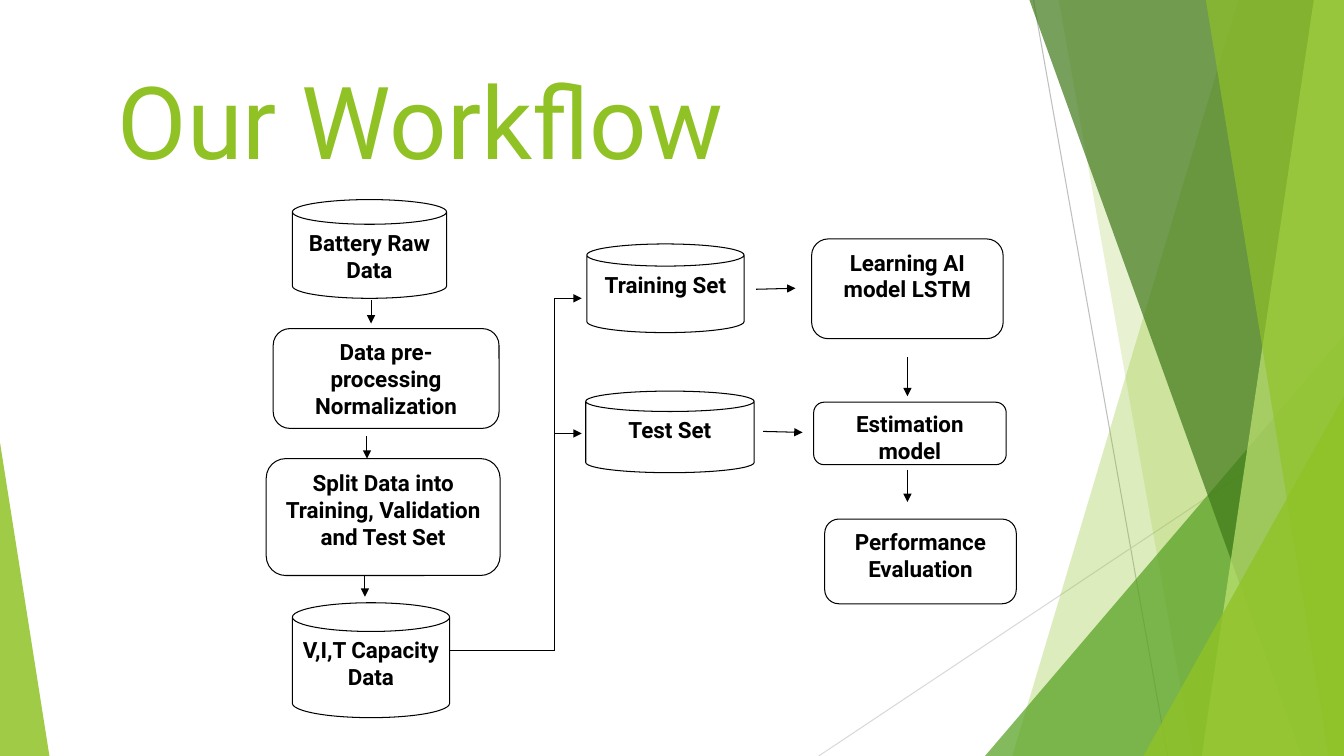
from lxml import etree
from pptx import Presentation
from pptx.dml.color import RGBColor
from pptx.enum.shapes import MSO_CONNECTOR, MSO_SHAPE
from pptx.enum.text import MSO_ANCHOR, PP_ALIGN
from pptx.oxml.ns import qn
from pptx.util import Pt

PX = 9144  # EMU per px, 100 px to the inch
W, H = 1333, 750
FONT = "Roboto"
GREEN, BLACK, WHITE = "90C226", "000000", "FFFFFF"
CAN, BOX = MSO_SHAPE.CAN, MSO_SHAPE.ROUNDED_RECTANGLE
STRAIGHT = MSO_CONNECTOR.STRAIGHT
CENTER, LEFT = PP_ALIGN.CENTER, PP_ALIGN.LEFT
TOP, MIDDLE = MSO_ANCHOR.TOP, MSO_ANCHOR.MIDDLE

TITLE = "Our Workflow"
TITLE_BOX = (107, 46, 1085, 145)

# Backdrop: thin lines (start, end, colour), facets (points, colour, opacity %)
BACK_LINES = [
    ((1025, 0), (1158, H), "BFBFBF"),
    ((W, 403), (812, H), "D9D9D9"),
]
FACETS = [
    ([(1228, 0), (W, 0), (W, H), (1004, H)], GREEN, 30),
    ([(1050, 0), (W, 0), (W, H), (1183, H)], GREEN, 20),
    ([(W, 333), (W, H), (977, H)], "54A021", 72),
    ([(1021, 0), (W, 0), (W, H), (1291, H)], "3F7819", 70),
    ([(1303, 0), (W, 0), (W, H), (1192, H)], "C0E474", 70),
    ([(1196, 0), (W, 0), (W, H), (1318, H)], GREEN, 65),
    ([(W, 393), (W, H), (1134, H)], GREEN, 80),
    ([(0, 439), (49, H), (0, H)], GREEN, 85),
]

# Workflow steps: shape, (left, top, width, height), text
STEPS = [
    (CAN, (290, 198, 153, 98), "Battery Raw Data"),
    (BOX, (271, 326, 224, 99), "Data pre-processing Normalization"),
    (BOX, (264, 455, 232, 116), "Split Data into Training, Validation and Test Set"),
    (CAN, (290, 598, 156, 114), "V,I,T Capacity Data"),
    (CAN, (582, 242, 156, 88), "Training Set"),
    (CAN, (581, 388, 167, 81), "Test Set"),
    (BOX, (805, 237, 190, 99), "Learning AI model LSTM"),
    (BOX, (807, 399, 191, 62), "Estimation model"),
    (BOX, (818, 515, 190, 84), "Performance Evaluation"),
]
ARROWS = [
    ((368, 298), (368, 321)),
    ((364, 433), (364, 455)),
    ((362, 570), (362, 592)),
    ((550, 296), (577, 296)),
    ((550, 430), (577, 430)),
    ((750, 287), (789, 286)),
    ((757, 428), (796, 429)),
    ((900, 354), (900, 393)),
    ((900, 466), (900, 498)),
]
BRANCH_LINES = [((446, 645), (550, 645)), ((550, 645), (550, 296))]


def rgb(value):
    return RGBColor.from_string(value)


def emu(lengths):
    return [n * PX for n in lengths]


def write(shape, text, size, color, bold, align, anchor, inset):
    tf = shape.text_frame
    tf.word_wrap = True
    tf.vertical_anchor = anchor
    tf.margin_left = tf.margin_right = inset * PX
    tf.margin_top = tf.margin_bottom = 5 * PX
    p = tf.paragraphs[0]
    p.alignment = align
    r = p.add_run()
    r.text = text
    r.font.name, r.font.size, r.font.bold = FONT, Pt(size), bold
    r.font.color.rgb = rgb(color)
    return p


def add_line(s, start, end, color=BLACK, arrow=False):
    line = s.shapes.add_connector(STRAIGHT, *emu(start + end))
    line.line.color.rgb = rgb(color)
    line.line.width = Pt(0.75)
    if arrow:
        etree.SubElement(line.line._get_or_add_ln(), qn("a:tailEnd"), type="triangle")
    etree.SubElement(line._element.spPr, qn("a:effectLst"))


def add_facet(s, points, color, opacity):
    builder = s.shapes.build_freeform(*points[0], scale=PX)
    builder.add_line_segments(points[1:], close=True)
    facet = builder.convert_to_shape()
    facet.shadow.inherit = False
    facet.line.fill.background()
    facet.fill.solid()
    facet.fill.fore_color.rgb = rgb(color)
    tint = facet._element.spPr.find(qn("a:solidFill"))[0]
    etree.SubElement(tint, qn("a:alpha"), val=str(opacity * 1000))


def add_step(s, kind, box, text):
    step = s.shapes.add_shape(kind, *emu(box))
    step.shadow.inherit = False
    step.fill.solid()
    step.fill.fore_color.rgb = rgb(WHITE)
    step.line.color.rgb = rgb(BLACK)
    step.line.width = Pt(0.75)
    p = write(step, text, 16, BLACK, True, CENTER, TOP, 9)
    p.space_after = Pt(10)


def main():
    prs = Presentation()
    prs.slide_width, prs.slide_height = emu((W, H))
    s = prs.slides.add_slide(prs.slide_layouts[5])

    # Backdrop
    for start, end, color in BACK_LINES:
        add_line(s, start, end, color)
    for facet in FACETS:
        add_facet(s, *facet)

    # Title, in front of the backdrop
    title = s.shapes.title
    title.left, title.top, title.width, title.height = emu(TITLE_BOX)
    write(title, TITLE, 72, GREEN, False, LEFT, MIDDLE, 10)
    s.shapes._spTree.append(title._element)

    # Workflow
    for step in STEPS:
        add_step(s, *step)
    for start, end in BRANCH_LINES:
        add_line(s, start, end)
    for start, end in ARROWS:
        add_line(s, start, end, arrow=True)

    prs.save("out.pptx")


if __name__ == "__main__":
    main()
